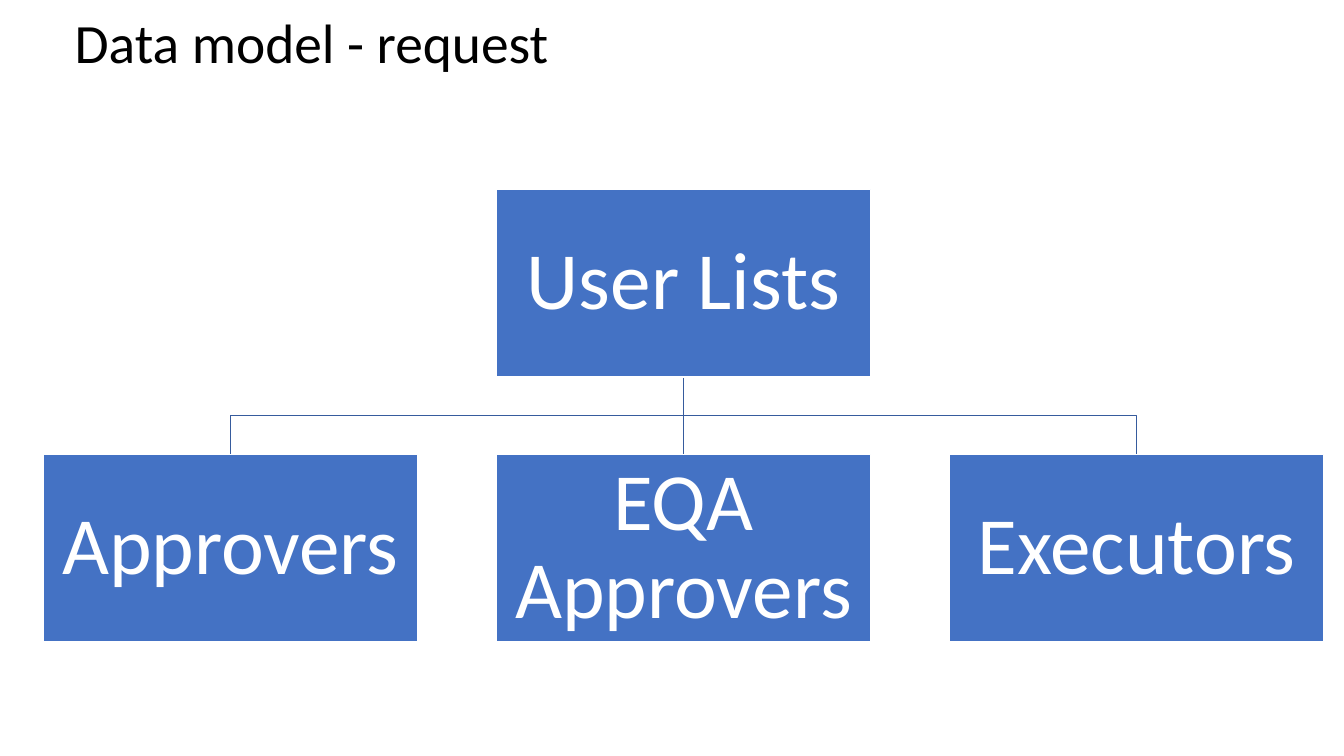
from dataclasses import dataclass

from pptx import Presentation
from pptx.dml.color import RGBColor
from pptx.enum import shapes, text
from pptx.util import Inches, Pt


@dataclass(frozen=True)
class Theme:
    font: str = "Calibri"
    ink: RGBColor = RGBColor(0, 0, 0)
    pale: RGBColor = RGBColor(255, 255, 255)
    node: RGBColor = RGBColor(0x44, 0x72, 0xC4)
    link: RGBColor = RGBColor(0x36, 0x5B, 0x9D)
    head: float = 39.6
    label: float = 58
    rule: float = 1


THEME = Theme()
ROOT = "User Lists"
ROLES = ["Approvers", "EQA Approvers", "Executors"]


def add_run(para, words, size, color):
    run = para.add_run()
    run.text = words
    run.font.name = THEME.font
    run.font.size = Pt(size)
    run.font.color.rgb = color


def set_line(item, color):
    item.line.color.rgb = color
    item.line.width = Pt(THEME.rule)


def add_title(slide, words, left, top, width, height):
    title = slide.shapes.title
    title.left, title.top = Inches(left), Inches(top)
    title.width, title.height = Inches(width), Inches(height)
    frame = title.text_frame
    frame.word_wrap = True
    frame.auto_size = text.MSO_AUTO_SIZE.NONE
    frame.vertical_anchor = text.MSO_ANCHOR.MIDDLE
    para = frame.paragraphs[0]
    para.alignment = text.PP_ALIGN.LEFT
    para.line_spacing = 0.8
    add_run(para, words, THEME.head, THEME.ink)


def add_node(slide, words, left, top, width, height):
    node = slide.shapes.add_shape(
        shapes.MSO_SHAPE.RECTANGLE,
        Inches(left), Inches(top), Inches(width), Inches(height))
    node.shadow.inherit = False
    node.fill.solid()
    node.fill.fore_color.rgb = THEME.node
    set_line(node, THEME.pale)
    frame = node.text_frame
    frame.word_wrap = True
    frame.vertical_anchor = text.MSO_ANCHOR.MIDDLE
    frame.margin_left = frame.margin_right = Inches(0.04)
    frame.margin_top = frame.margin_bottom = Inches(0.04)
    para = frame.paragraphs[0]
    para.alignment = text.PP_ALIGN.CENTER
    para.line_spacing = 0.9
    add_run(para, words, THEME.label, THEME.pale)


def end_link(pen):
    link = pen.convert_to_shape()
    link.shadow.inherit = False
    link.fill.background()
    set_line(link, THEME.link)


def add_stem(slide, x, top, end):
    pad = 0.05
    pen = slide.shapes.build_freeform(Inches(x - pad), Inches(top))
    pen.move_to(Inches(x), Inches(top))
    pen.add_line_segments([(Inches(x), Inches(end))], close=False)
    pen.move_to(Inches(x + pad), Inches(end))
    end_link(pen)


def add_elbow(slide, start, x, top, end):
    mid = (top + end) / 2
    pen = slide.shapes.build_freeform(Inches(start), Inches(top))
    turns = [(start, mid), (x, mid), (x, end)]
    pen.add_line_segments(
        [(Inches(a), Inches(b)) for a, b in turns], close=False)
    end_link(pen)


def add_tree(slide, root, roles, left, top, width, height):
    wide, tall = 3.71, 1.86
    step = (width - wide) / (len(roles) - 1)
    hub = left + width / 2
    low = top + height - tall
    lefts = [left + i * step for i in range(len(roles))]
    for x in reversed(lefts):
        mid = x + wide / 2
        if abs(mid - hub) < 0.01:
            add_stem(slide, hub, top + tall, low)
        else:
            add_elbow(slide, hub, mid, top + tall, low)
    add_node(slide, root, hub - wide / 2, top, wide, tall)
    for x, role in zip(lefts, roles):
        add_node(slide, role, x, low, wide, tall)


def main():
    deck = Presentation()
    deck.slide_width, deck.slide_height = Inches(13.33), Inches(7.5)
    slide = deck.slides.add_slide(deck.slide_layouts[5])
    add_tree(slide, ROOT, ROLES, 0.43, 1.88, 12.7, 4.49)
    add_title(slide, "Data model - request", 0.64, 0.14, 11.5, 0.66)
    deck.save("out.pptx")


if __name__ == "__main__":
    main()
